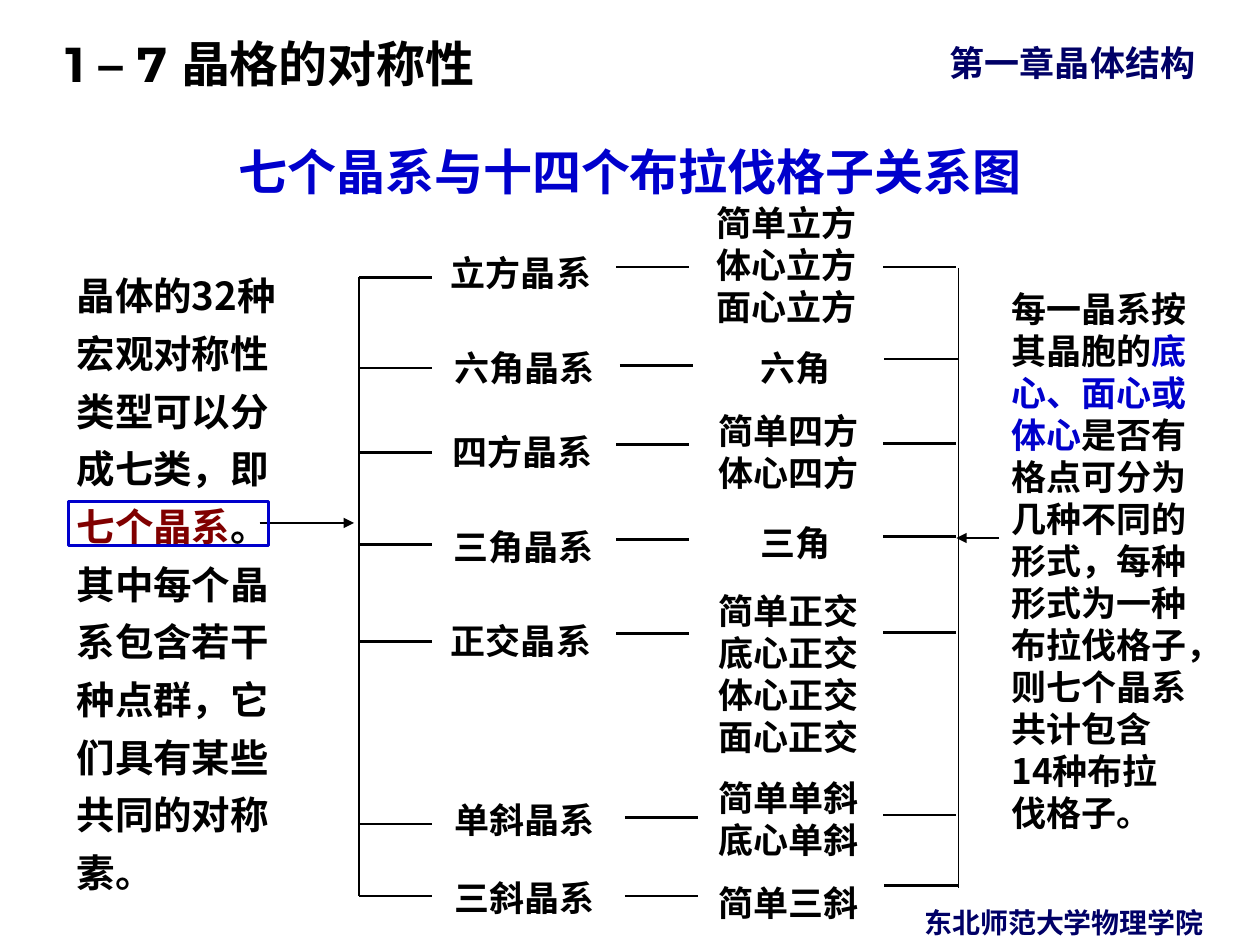
from lxml import etree
from pptx import Presentation
from pptx.dml.color import RGBColor
from pptx.enum.shapes import MSO_CONNECTOR, MSO_SHAPE
from pptx.enum.text import MSO_ANCHOR, PP_ALIGN
from pptx.oxml.ns import qn
from pptx.util import Inches, Pt

LEFT, CENTER = PP_ALIGN.LEFT, PP_ALIGN.CENTER
TOP, MIDDLE, BOTTOM = MSO_ANCHOR.TOP, MSO_ANCHOR.MIDDLE, MSO_ANCHOR.BOTTOM
RECTANGLE, STRAIGHT = MSO_SHAPE.RECTANGLE, MSO_CONNECTOR.STRAIGHT
FONT, HEADER_FONT = "Noto Sans CJK SC", "Montserrat"
BLACK, NAVY, BLUE, MAROON = "000000", "000066", "0000CC", "800000"

TITLE = "七个晶系与十四个布拉伐格子关系图"
HEADER = "1 – 7 晶格的对称性"
CHAPTER = "第一章晶体结构"
SCHOOL = "东北师范大学物理学院"
LEFT_NOTE = [
    ("晶体的32种宏观对称性类型可以分成七类，即", BLACK),
    ("七个晶系", MAROON),
    ("。其中每个晶系包含若干种点群，它们具有某些共同的对称素。", BLACK),
]
RIGHT_NOTE = [
    ("每一晶系按其晶胞的", BLACK),
    ("底心、面心或体心", BLUE),
    ("是否有格点可分为几种不同的形式，每种形式为一种布拉伐格子，则七个晶系共计包含14种布拉伐格子。", BLACK),
]
# system, (left, top), lattices, (left, top), alignment, (left tick y, link x, link y, right tick x, right tick y)
SYSTEMS = [
    ("立方晶系", (3.48, 1.95), ["简单立方", "体心立方", "面心立方"], (5.59, 1.55), LEFT, (2.2, 4.89, 2.12, 7.01, 2.12)),
    ("六角晶系", (3.51, 2.7), ["六角"], (5.6, 2.7), CENTER, (2.92, 4.92, 2.9, 7.02, 2.85)),
    ("四方晶系", (3.49, 3.37), ["简单四方", "体心四方"], (5.6, 3.2), LEFT, (3.59, 4.89, 3.53, 7.01, 3.52)),
    ("三角晶系", (3.5, 4.12), ["三角"], (5.6, 4.09), CENTER, (4.32, 4.89, 4.28, 7.01, 4.26)),
    ("正交晶系", (3.48, 4.87), ["简单正交", "底心正交", "体心正交", "面心正交"], (5.6, 4.63), LEFT,
     (5.09, 4.89, 5.03, 7.01, 5.02)),
    ("单斜晶系", (3.51, 6.29), ["简单单斜", "底心单斜"], (5.6, 6.11), LEFT, (6.54, 4.96, 6.49, 7.01, 6.47)),
    ("三斜晶系", (3.51, 6.91), ["简单三斜"], (5.6, 6.95), LEFT, (7.11, 4.96, 7.11, 7.02, 7.03)),
]
TICK, LEFT_BAR, RIGHT_BAR = 0.58, 2.85, 7.61


def rgb(color):
    """Turn a hex string into a colour."""
    return RGBColor.from_string(color)


def write(shape, paragraphs, size, align=LEFT, anchor=TOP, spacing=1.0, font=FONT):
    """Fill a shape with paragraphs made of (text, colour) runs."""
    tf = shape.text_frame
    tf.word_wrap = True
    tf.vertical_anchor = anchor
    for i, runs in enumerate(paragraphs):
        p = tf.add_paragraph() if i else tf.paragraphs[0]
        p.alignment = align
        p.line_spacing = spacing
        for text, color in runs:
            r = p.add_run()
            r.text = text
            r.font.size = Pt(size)
            r.font.bold = True
            r.font.name = font
            r.font.color.rgb = rgb(color)
            etree.SubElement(r.font._element, qn("a:ea"), typeface=FONT)


def add_text(s, box, paragraphs, size, **style):
    """Add a text box and return it."""
    shape = s.shapes.add_textbox(*map(Inches, box))
    write(shape, paragraphs, size, **style)
    return shape


def add_line(s, x1, y1, x2, y2, width=1.5, arrow=False):
    """Draw a straight black line, with an arrowhead at its end if asked."""
    line = s.shapes.add_connector(STRAIGHT, *map(Inches, (x1, y1, x2, y2)))
    line.line.color.rgb = rgb(BLACK)
    line.line.width = Pt(width)
    if arrow:
        etree.SubElement(line.line._get_or_add_ln(), qn("a:tailEnd"), type="triangle")
    etree.SubElement(line._element.spPr, qn("a:effectLst"))


def main():
    """Build the slide and save it."""
    prs = Presentation()
    prs.slide_width, prs.slide_height = Inches(10), Inches(7.5)
    s = prs.slides.add_slide(prs.slide_layouts[5])

    title = s.shapes.title
    title.left, title.top, title.width, title.height = map(Inches, (0.5, 0.91, 9, 0.74))
    write(title, [[(TITLE, BLUE)]], 28, align=CENTER, anchor=BOTTOM, spacing=0.9)

    add_text(s, (7.44, 0.28, 2.56, 0.43), [[(CHAPTER, NAVY)]], 20)
    header = add_text(s, (0, 0.12, 8.17, 0.64), [[(HEADER, BLACK)]], 28,
                      anchor=MIDDLE, spacing=1.25, font=HEADER_FONT)
    header.text_frame.margin_left = Inches(0.52)
    add_text(s, (6.89, 7.14, 3.11, 0.37), [[(SCHOOL, NAVY)]], 16, align=CENTER)

    for system, place, lattices, lattice_place, align, ticks in SYSTEMS:
        left_y, link_x, link_y, right_x, right_y = ticks
        add_text(s, (*place, 1.42, 0.43), [[(system, BLACK)]], 20)
        height = 0.1 + 0.33 * len(lattices)
        add_text(s, (*lattice_place, 1.42, height), [[(name, BLACK)] for name in lattices], 20, align=align)
        for x, y in ((LEFT_BAR, left_y), (link_x, link_y), (right_x, right_y)):
            add_line(s, x, y, x + TICK, y)

    add_line(s, LEFT_BAR, 2.2, LEFT_BAR, 7.11, width=0.75)
    add_line(s, RIGHT_BAR, 2.13, RIGHT_BAR, 7.05, width=0.75)
    add_line(s, 2.06, 4.15, 2.81, 4.15, arrow=True)
    add_line(s, 7.93, 4.27, 7.59, 4.27, width=0.75, arrow=True)

    add_text(s, (7.93, 2.23, 1.6, 4.43), [RIGHT_NOTE], 20)
    add_text(s, (0.51, 2.02, 1.89, 5.19), [LEFT_NOTE], 22, spacing=1.25)

    frame = s.shapes.add_shape(RECTANGLE, *map(Inches, (0.54, 3.98, 1.59, 0.35)))
    frame.shadow.inherit = False
    frame.fill.background()
    frame.line.color.rgb = rgb(BLUE)
    frame.line.width = Pt(1.75)

    prs.save("out.pptx")


if __name__ == "__main__":
    main()
